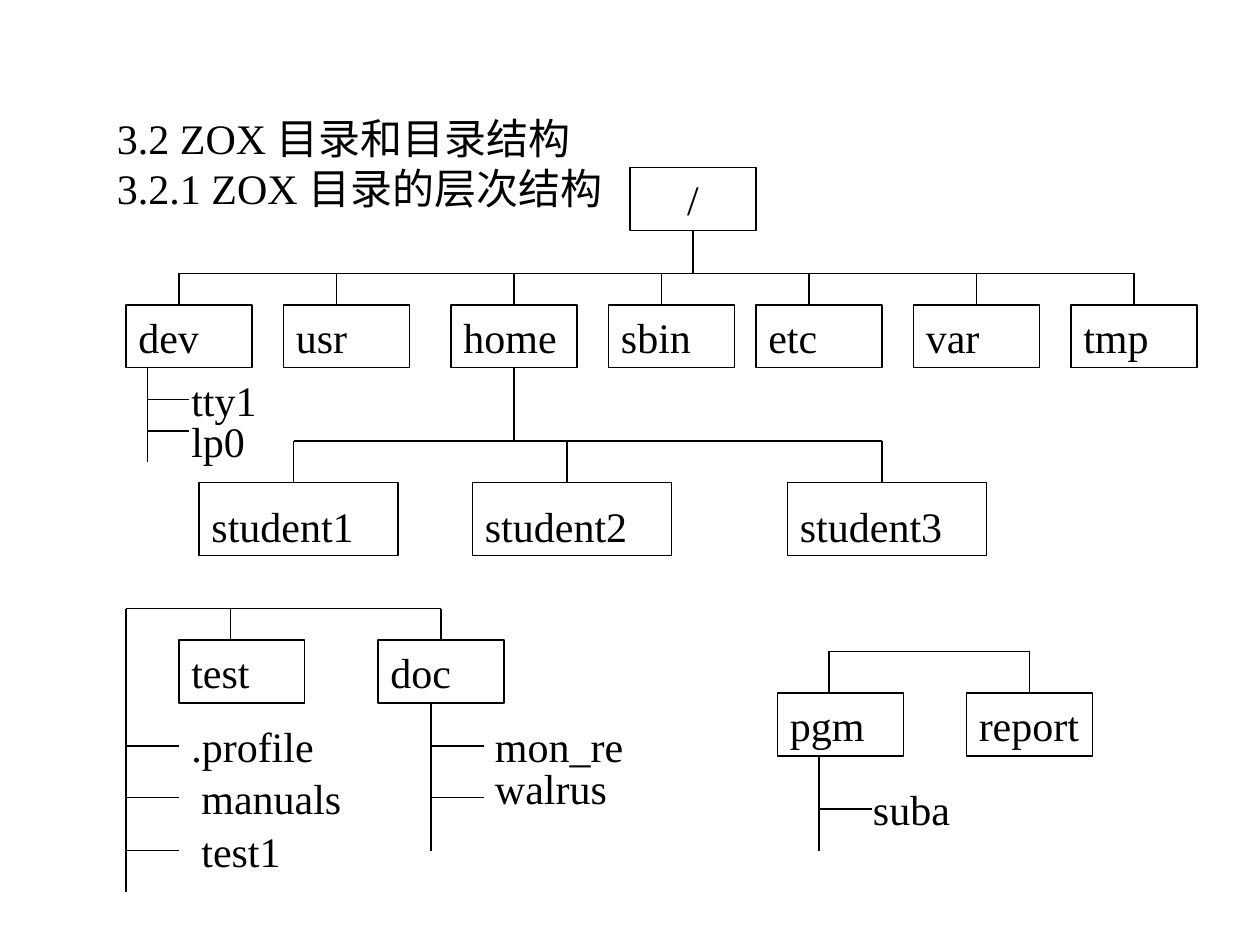
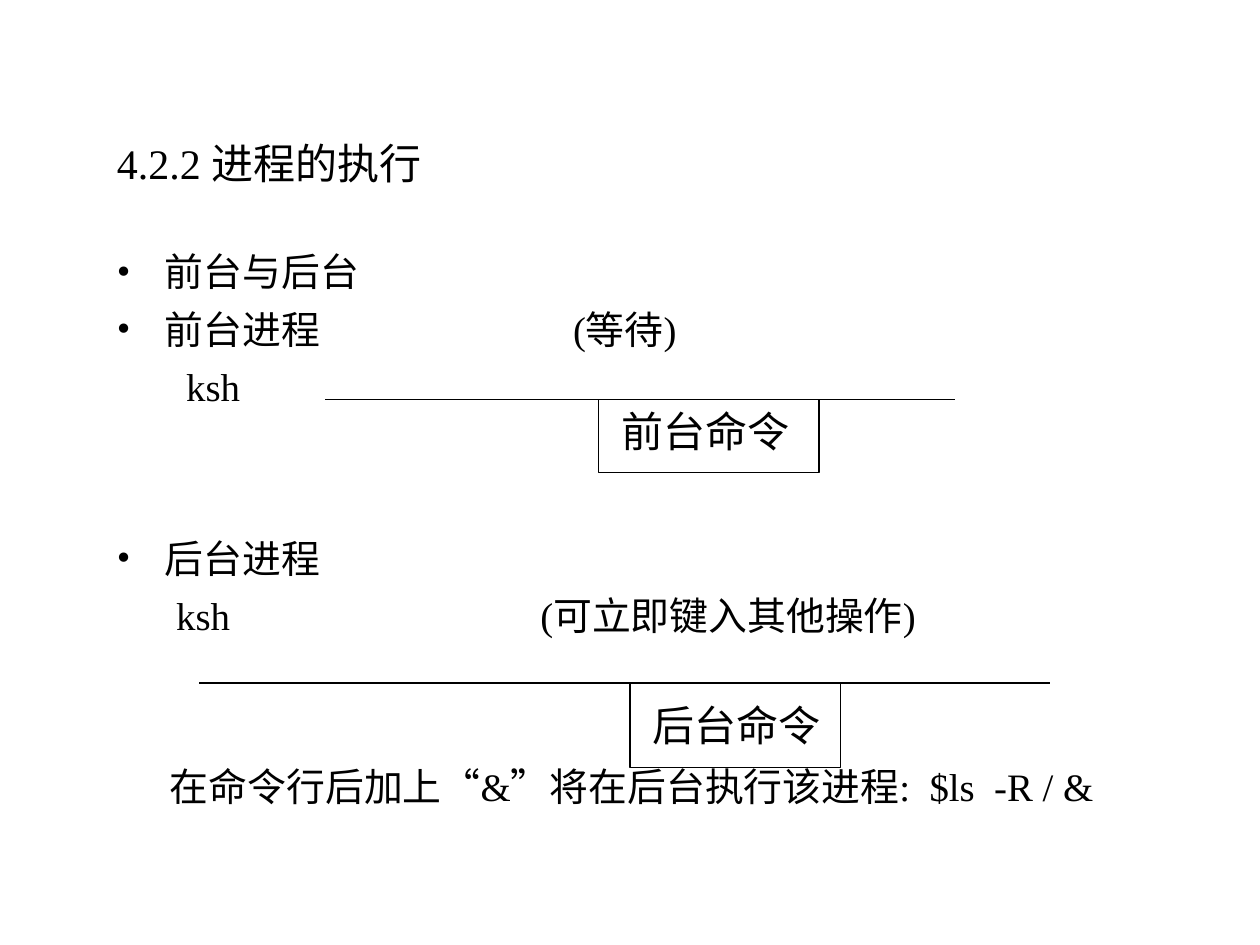
from pptx import Presentation
from pptx.util import Inches, Pt
from pptx.dml.color import RGBColor as RGB
from pptx.enum.shapes import MSO_SHAPE as Kind, MSO_CONNECTOR as Link
from pptx.enum.text import MSO_ANCHOR as Anchor, PP_ALIGN as Align
from lxml.etree import SubElement as Sub
from pptx.oxml.ns import qn

COLOR = {"ink": "000000", "paper": "FFFFFF"}
FONT = "Times New Roman"
INK = RGB.from_string(COLOR["ink"])
PAPER = RGB.from_string(COLOR["paper"])


def put(slide, text, x, y, w, h, size=24, box=False, left=0.1, top=0.05):
    area = [Inches(n) for n in (x, y, w, h)]
    if box:
        shape = slide.shapes.add_shape(Kind.RECTANGLE, *area)
        shape.shadow.inherit = False
        shape.fill.solid()
        shape.fill.fore_color.rgb = PAPER
        shape.line.color.rgb = INK
        shape.line.width = Pt(0.75)
    else:
        shape = slide.shapes.add_textbox(*area)
    frame = shape.text_frame
    frame.word_wrap = True
    frame.vertical_anchor = Anchor.TOP
    frame.margin_left, frame.margin_top = Inches(left), Inches(top)
    frame.margin_right, frame.margin_bottom = 0, Inches(0.05)
    frame.text = text
    for para in frame.paragraphs:
        para.alignment = Align.LEFT
        for run in para.runs:
            run.font.size = Pt(size)
            run.font.name = FONT
            run.font.color.rgb = INK
    return frame


def draw(slide, x1, y1, x2, y2):
    line = slide.shapes.add_connector(
        Link.STRAIGHT, Inches(x1), Inches(y1), Inches(x2), Inches(y2))
    line.line.color.rgb = INK
    line.line.width = Pt(0.75)
    Sub(line._element.spPr, qn("a:effectLst"))


deck = Presentation()
deck.slide_width, deck.slide_height = Inches(10), Inches(7.5)
titles = ["3.2 ZOX 目录和目录结构\n3.2.1 ZOX 目录的层次结构", "4.2.2 进程的执行"]
pages = []
for title in titles:
    page = deck.slides.add_slide(deck.slide_layouts[6])
    page.background.fill.solid()
    page.background.fill.fore_color.rgb = PAPER
    put(page, title, 0.83, 0.83, 8.5, 0.92).vertical_anchor = Anchor.MIDDLE
    pages.append(page)
tree, proc = pages

root = put(tree, "/", 5, 1.33, 1, 0.5, box=True, left=0)
root.paragraphs[0].alignment = Align.CENTER

groups = [
    (2.42, 1, 0.5, 0.05, [("dev", 1), ("usr", 2.25), ("home", 3.58), ("sbin", 4.83),
                          ("etc", 6), ("var", 7.25), ("tmp", 8.5)]),
    (3.83, 1.58, 0.58, 0.14, [("student1", 1.58), ("student2", 3.75), ("student3", 6.25)]),
    (5.08, 1, 0.5, 0.05, [("test", 1.42), ("doc", 3)]),
    (5.5, 1, 0.5, 0.05, [("pgm", 6.17), ("report", 7.67)]),
]
for y, w, h, top, names in groups:
    for name, x in names:
        put(tree, name, x, y, w, h, box=True, top=top)

rails = [
    (2.17, 2.42, [1.42, 2.67, 4.08, 5.25, 6.42, 7.75, 9]),
    (3.5, 3.83, [2.33, 4.5, 7]),
    (4.83, 5.08, [1, 1.83, 3.5]),
    (5.17, 5.5, [6.58, 8.17]),
]
for y, end, drops in rails:
    draw(tree, drops[0], y, drops[-1], y)
    for x in drops:
        draw(tree, x, y, x, end)
draw(tree, 5.5, 1.83, 5.5, 2.17)
draw(tree, 4.08, 2.92, 4.08, 3.5)

stems = [
    (1.17, 2.92, 3.67, 0.33, [3.17, 3.42]),
    (1, 5.08, 7.08, 0.42, [5.92, 6.33, 6.75]),
    (3.42, 5.58, 6.75, 0.42, [5.92, 6.33]),
    (6.5, 6, 6.75, 0.42, [6.42]),
]
for x, y, end, w, twigs in stems:
    draw(tree, x, y, x, end)
    for twig in twigs:
        draw(tree, x, twig, x + w, twig)

files = [
    ("tty1", 1.42, 2.92), ("lp0", 1.42, 3.25), (".profile", 1.42, 5.67),
    ("manuals", 1.5, 6.08), ("test1", 1.5, 6.5), ("mon_re", 3.83, 5.67),
    ("walrus", 3.83, 6), ("suba", 6.83, 6.17),
]
for name, x, y in files:
    put(tree, name, x, y, 1.42, 0.5)

steps = [
    ("前台与后台", True, 0.38, 6), ("前台进程", True, 0.38, 6), ("ksh", False, 0.55, 6),
    ("后台进程", True, 0.38, 71.5), ("ksh", False, 0.47, 6),
    ("在命令行后加上“&”将在后台执行该进程:  $ls  -R / &", False, 0.42, 71.5),
]
body = put(proc, "\n".join(step[0] for step in steps), 0.83, 1.92, 8.5, 4.92, size=22.2)
for para, (text, dot, left, gap) in zip(body.paragraphs, steps):
    para.space_before = Pt(gap)
    props = para._p.get_or_add_pPr()
    props.set("marL", str(Inches(left)))
    props.set("indent", str(Inches(-0.38 if dot else 0)))
    if dot:
        Sub(props, qn("a:buFont")).set("typeface", FONT)
        Sub(props, qn("a:buChar")).set("char", "•")
    else:
        Sub(props, qn("a:buNone"))

put(proc, "(等待)", 4.45, 2.38, 2, 0.46, size=22.2)
put(proc, "(可立即键入其他操作)", 4.19, 4.65, 4, 0.46, size=22.2)

tasks = [
    ("前台命令", 2.58, 7.58, 3.17, 4.75, 1.75, 0.58, 0.05),
    ("后台命令", 1.58, 8.33, 5.42, 5, 1.67, 0.67, 0.13),
]
for name, start, end, y, x, w, h, top in tasks:
    draw(proc, start, y, end, y)
    put(proc, name, x, y, w, h, box=True, left=0.18, top=top)

deck.save("out.pptx")
